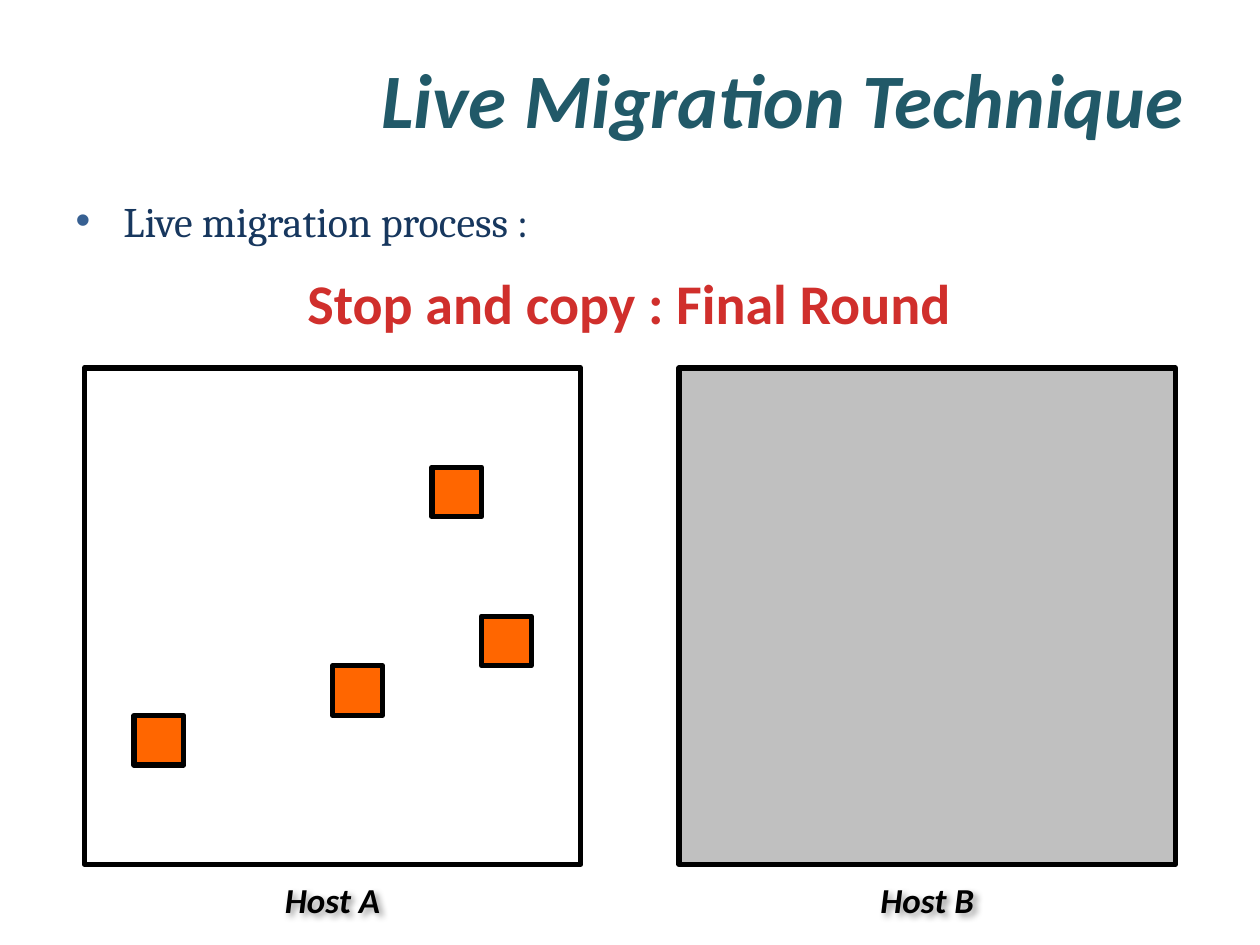
from dataclasses import dataclass

from lxml.etree import SubElement
from pptx import Presentation
from pptx.dml.color import RGBColor as Rgb
from pptx.enum.shapes import MSO_SHAPE as Shape
from pptx.enum.text import MSO_ANCHOR as Anchor
from pptx.enum.text import MSO_AUTO_SIZE as AutoSize
from pptx.enum.text import PP_ALIGN as Align
from pptx.oxml.ns import qn
from pptx.util import Inches, Pt


@dataclass(frozen=True)
class Theme:
    """Fonts, colours and type sizes of the slide."""
    sans: str = "Calibri"
    serif: str = "Cambria"
    title: str = "215968"
    body: str = "17375E"
    bullet: str = "376092"
    phase: str = "D02F2C"
    ink: str = "000000"
    page: str = "FF6600"
    idle: str = "C0C0C0"
    title_size: int = 44
    body_size: int = 24
    phase_size: int = 32
    label_size: int = 20
    outline: int = 3


class SlideBuilder:
    """Draws styled elements on the current slide."""

    def __init__(self, slide, theme):
        self.slide = slide
        self.theme = theme

    def place(self, holder, left, top, width, height):
        holder.left, holder.top = Inches(left), Inches(top)
        holder.width, holder.height = Inches(width), Inches(height)

    def run(self, paragraph, text, font, size, color, bold=False, italic=False):
        run = paragraph.add_run()
        run.text = text
        run.font.name, run.font.size = font, Pt(size)
        run.font.bold, run.font.italic = bold, italic
        run.font.color.rgb = Rgb.from_string(color)

    def title(self, text, *box):
        heading = self.slide.shapes.title
        self.place(heading, *box)
        frame = heading.text_frame
        frame.auto_size = AutoSize.NONE
        frame.vertical_anchor = Anchor.MIDDLE
        paragraph = frame.paragraphs[0]
        paragraph.alignment = Align.RIGHT
        self.run(paragraph, text, self.theme.sans, self.theme.title_size,
                 self.theme.title, bold=True, italic=True)

    def bullets(self, items, *box):
        body = self.slide.placeholders[1]
        self.place(body, *box)
        frame = body.text_frame
        frame.auto_size = AutoSize.NONE
        for index, item in enumerate(items):
            paragraph = frame.add_paragraph() if index else frame.paragraphs[0]
            properties = paragraph._p.get_or_add_pPr()
            properties.set("marL", str(Inches(0.38)))
            properties.set("indent", str(Inches(-0.38)))
            tint = SubElement(properties, qn("a:buClr"))
            SubElement(tint, qn("a:srgbClr"), val=self.theme.bullet)
            SubElement(properties, qn("a:buChar"), char="•")
            self.run(paragraph, item, self.theme.serif, self.theme.body_size,
                     self.theme.body)

    def caption(self, text, box, size, color, italic=False, shadow=False):
        label = self.slide.shapes.add_textbox(*map(Inches, box))
        frame = label.text_frame
        frame.word_wrap = False
        frame.auto_size = AutoSize.SHAPE_TO_FIT_TEXT
        paragraph = frame.paragraphs[0]
        paragraph.alignment = Align.CENTER
        self.run(paragraph, text, self.theme.sans, size, color, True, italic)
        if shadow:
            self.soft_shadow(label)

    def soft_shadow(self, label):
        effects = SubElement(label._element.spPr, qn("a:effectLst"))
        cast = SubElement(effects, qn("a:outerShdw"), blurRad=str(Pt(4)),
                          dist=str(Pt(3)), dir="2700000", algn="tl", rotWithShape="0")
        tint = SubElement(cast, qn("a:srgbClr"), val=self.theme.ink)
        SubElement(tint, qn("a:alpha"), val="40000")

    def square(self, left, top, side, fill=None, parent=None):
        owner = parent or self.slide
        square = owner.shapes.add_shape(
            Shape.RECTANGLE, *map(Inches, (left, top, side, side)))
        square.shadow.inherit = False
        if fill:
            square.fill.solid()
            square.fill.fore_color.rgb = Rgb.from_string(fill)
        else:
            square.fill.background()
        square.line.color.rgb = Rgb.from_string(self.theme.ink)
        square.line.width = Pt(self.theme.outline)

    def pages(self, left, top, cell, positions):
        memory = self.slide.shapes.add_group_shape()
        for column, row in positions:
            self.square(left + column * cell, top + row * cell, cell,
                        self.theme.page, memory)


def main():
    deck = Presentation()
    deck.slide_width, deck.slide_height = Inches(10), Inches(7.5)
    theme = Theme()
    builder = SlideBuilder(deck.slides.add_slide(deck.slide_layouts[1]), theme)

    builder.title("Live Migration Technique", 0.5, 0.3, 9, 0.95)
    builder.bullets(["Live migration process :"], 0.5, 1.5, 9, 0.58)
    builder.caption("Stop and copy : Final Round", (2.32, 2.08, 5.35, 0.64),
                    theme.phase_size, theme.phase)

    host_top, host_side, label_width = 2.92, 3.94, 0.96
    hosts = [("Host A", 0.67, None, [(7, 2), (5, 6), (8, 5), (1, 7)]),
             ("Host B", 5.39, theme.idle, [])]
    for name, left, fill, dirty_pages in hosts:
        builder.square(left, host_top, host_side, fill)
        if dirty_pages:
            builder.pages(left, host_top, host_side / 10, dirty_pages)
        label_left = left + (host_side - label_width) / 2
        builder.caption(name, (label_left, 6.92, label_width, 0.44),
                        theme.label_size, theme.ink, italic=True, shadow=True)

    deck.save("out.pptx")


if __name__ == "__main__":
    main()
